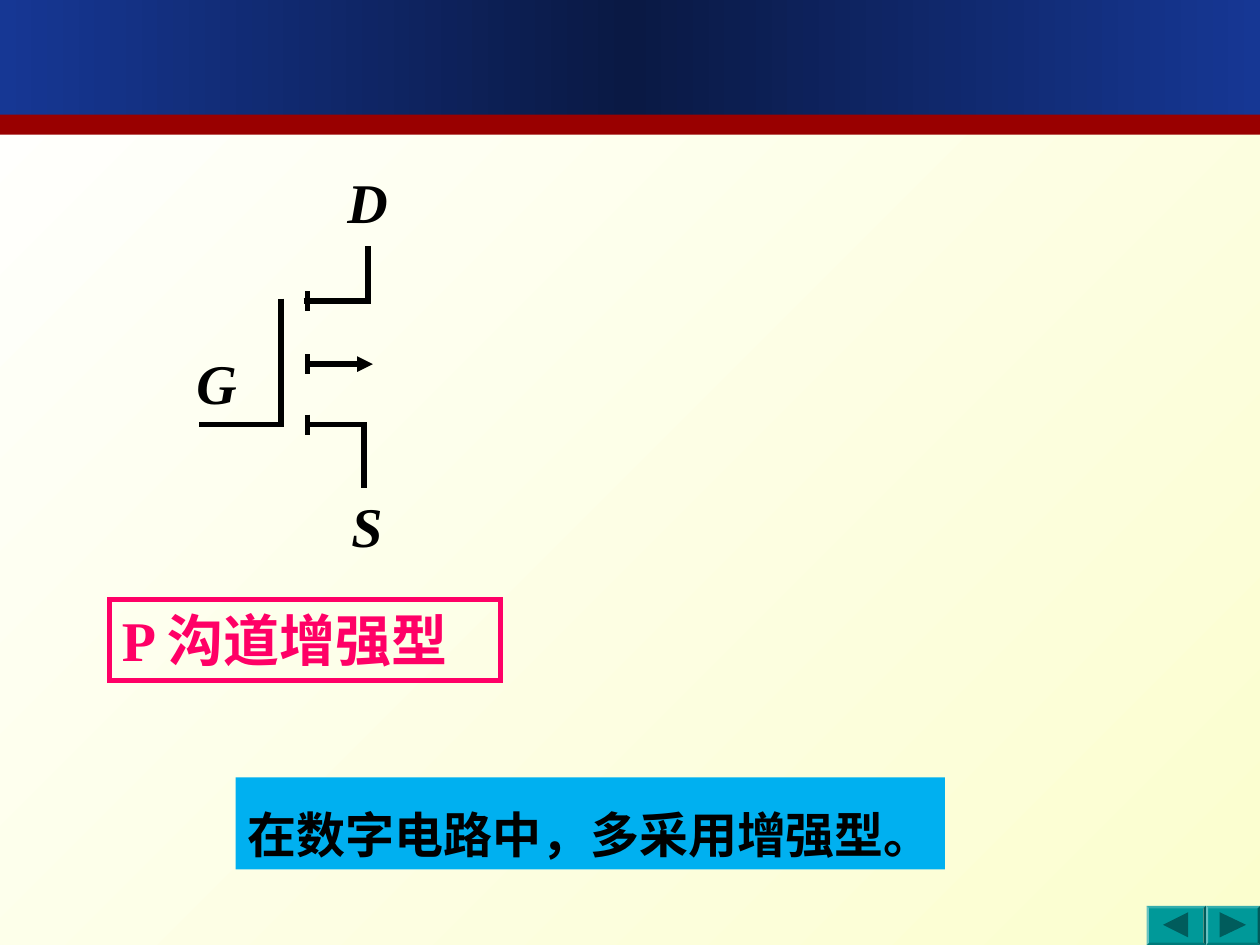
from copy import deepcopy
from lxml import etree
from pptx import Presentation
from pptx.dml.color import RGBColor
from pptx.enum import shapes, text
from pptx.oxml.ns import qn
from pptx.util import Inches, Pt


def rgb(value):
    return RGBColor.from_string(value)


def write(sp, content, size, color, italic=False, wrap=True):
    tf = sp.text_frame
    tf.word_wrap = wrap
    tf.vertical_anchor = text.MSO_ANCHOR.TOP
    p = tf.paragraphs[0]
    p.text = content
    p.alignment = text.PP_ALIGN.LEFT
    p.font.name = "Times New Roman"
    p.font.size = Pt(size)
    p.font.bold = True
    p.font.italic = italic
    p.font.color.rgb = rgb(color)
    return p


prs = Presentation()
prs.slide_width, prs.slide_height = Inches(10), Inches(7.5)
s = prs.slides.add_slide(prs.slide_layouts[6])

# Background
fill = s.background.fill
fill.gradient()
fill.gradient_angle = 315
for stop, color in zip(fill.gradient_stops, ("FFFFFF", "FBFECE")):
    stop.color.rgb = rgb(color)

# Header bands, navigation buttons, type name box and remark box
kind = shapes.MSO_SHAPE
areas = []
for shape_kind, x, y, w, h, color in (
    (kind.RECTANGLE, 0, 0, 10, 0.91, "163794"),
    (kind.RECTANGLE, 0, 0.91, 10, 0.16, "990000"),
    (kind.BEVEL, 9.57, 7.19, 0.43, 0.31, "009999"),
    (kind.BEVEL, 9.1, 7.19, 0.47, 0.31, "009999"),
    (kind.RECTANGLE, 0.87, 4.76, 3.1, 0.64, None),
    (kind.RECTANGLE, 1.87, 6.17, 5.63, 0.73, "00B0F0"),
):
    sp = s.shapes.add_shape(shape_kind, Inches(x), Inches(y), Inches(w), Inches(h))
    sp.shadow.inherit = False
    sp.line.fill.background()
    if color:
        sp.fill.solid()
        sp.fill.fore_color.rgb = rgb(color)
    else:
        sp.fill.background()
    if shape_kind == kind.BEVEL:
        sp.adjustments[0] = 0.06
    areas.append(sp)
header, stripe, next_button, previous_button, type_box, remark = areas

# Button arrows
for base, tip in ((9.68, 9.89), (9.43, 9.23)):
    builder = s.shapes.build_freeform(Inches(base), Inches(7.24))
    builder.add_line_segments([(Inches(tip), Inches(7.34)), (Inches(base), Inches(7.44))])
    sp = builder.convert_to_shape()
    sp.shadow.inherit = False
    sp.line.fill.background()
    sp.fill.solid()
    sp.fill.fore_color.rgb = rgb("005C5C")

# Header gradient, dark in the middle
fill = header.fill
fill.gradient()
fill.gradient_angle = 0
stops = fill._fill._gradFill.find(qn("a:gsLst"))
stops.insert(1, deepcopy(stops[0]))
for stop, position, color in zip(fill.gradient_stops, (0, 0.5, 1), ("163794", "0A1944", "163794")):
    stop.position = position
    stop.color.rgb = rgb(color)

# Transistor symbol
wires = [
    (2.23, 2.37, 2.23, 3.37),  # gate plate
    (2.25, 3.37, 1.58, 3.37),  # gate lead
    (2.41, 2.39, 2.94, 2.39),  # drain
    (2.92, 2.41, 2.92, 1.95),
    (2.44, 3.37, 2.91, 3.37),  # source
    (2.89, 3.35, 2.89, 3.87),
]
wires += [(2.44, y, 2.44, y + 0.16) for y in (2.31, 2.81, 3.29)]  # channel
wires.append((2.44, 2.89, 2.96, 2.89))  # substrate arrow
for wire in wires:
    line = s.shapes.add_connector(shapes.MSO_CONNECTOR.STRAIGHT, *map(Inches, wire))
    line.line.width = Pt(3)
    line.line.color.rgb = rgb("000000")
    etree.SubElement(line._element.spPr, qn("a:effectLst"))
etree.SubElement(line.line._get_or_add_ln(), qn("a:tailEnd"), type="triangle")

# Terminal labels
for label, x, y, w in (("G", 1.46, 2.72, 0.67), ("S", 2.69, 3.85, 0.69), ("D", 2.66, 1.28, 0.77)):
    sp = s.shapes.add_textbox(Inches(x), Inches(y), Inches(w), Inches(0.64))
    write(sp, label, 32, "000000", italic=True)

# Type name with square frame corners
type_box.line.width = Pt(3)
type_box.line.color.rgb = rgb("FF0066")
etree.SubElement(type_box.line._get_or_add_ln(), qn("a:miter"), lim="800000")
write(type_box, "P 沟道增强型", 32, "FF0066")

# Remark
p = write(remark, "在数字电路中，多采用增强型。", 28, "000000", wrap=False)
p.alignment = text.PP_ALIGN.CENTER
p.line_spacing = 1.35

prs.save("out.pptx")
